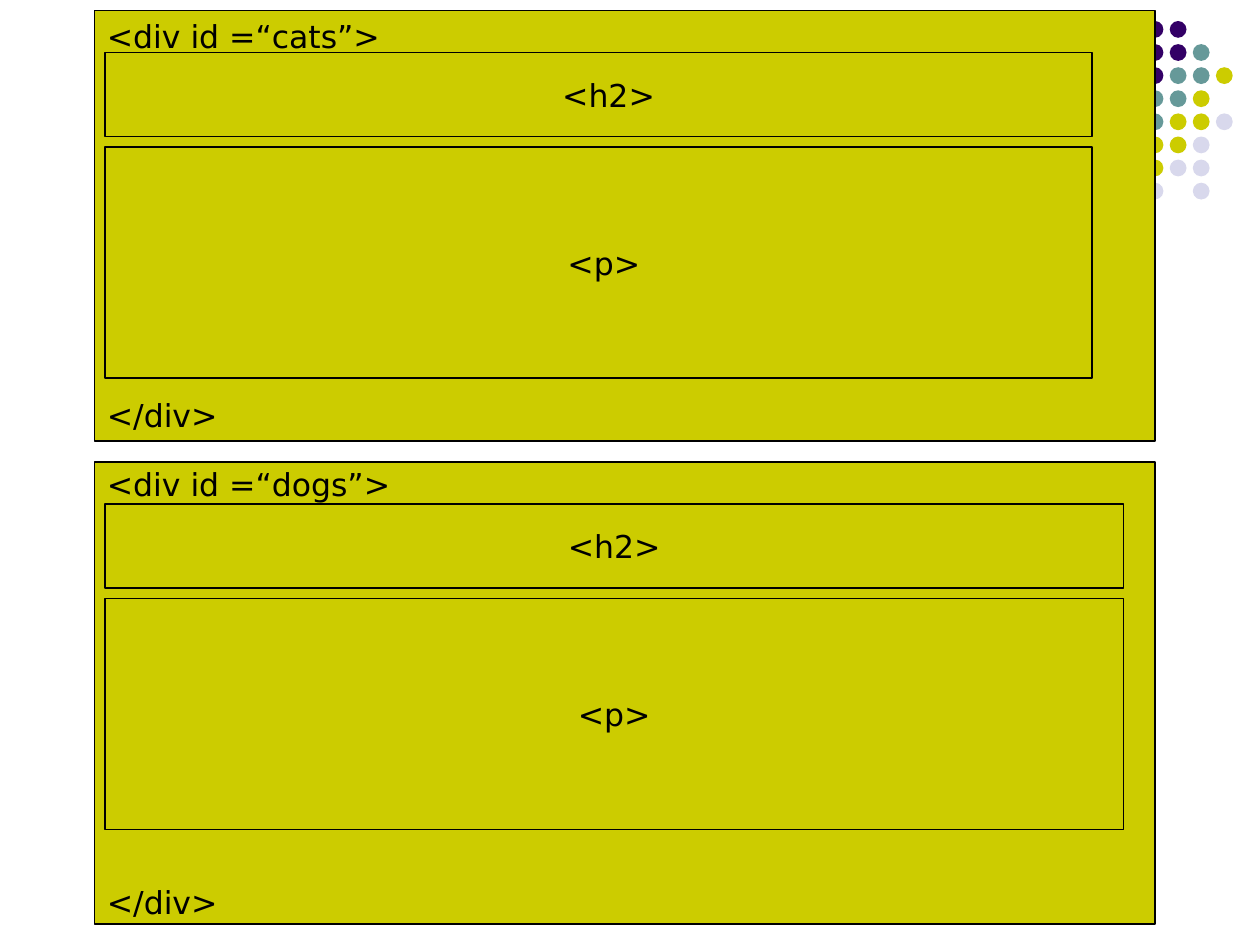
from dataclasses import dataclass

import pptx
import pptx.dml.color
import pptx.enum.shapes
import pptx.enum.text
import pptx.util

PX = 7620  # EMU per px, 120 px to the inch
SHAPE = pptx.enum.shapes.MSO_SHAPE
ALIGN = pptx.enum.text.PP_ALIGN


@dataclass(frozen=True)
class Theme:
    box: str = "CCCC00"
    ink: str = "000000"
    font: str = "DejaVu Sans"
    text_pt: int = 18
    line_pt: float = 0.75
    inset_x: int = 12
    inset_y: int = 6


@dataclass(frozen=True)
class Division:
    name: str
    top: int
    height: int
    inner_width: int
    tag_gap_pt: int  # space between the opening and closing tags
    heading_indent: int
    paragraph_indent: int


THEME = Theme()
DIVISIONS = (
    Division("cats", 10, 410, 940, 195, 19, 10),
    Division("dogs", 440, 440, 970, 217, 0, 0),
)
DOT_COLOURS = {"P": "330066", "T": "669999", "Y": "CCCC00", "L": "D8D8EC"}
DOT_ROWS = ("PP", "PPT", "PTTY", "TTY", "TYYL", "YYL", "YLL", "L L")
DOT_LEFT, DOT_TOP, DOT_STEP, DOT_SIZE = 1092, 20, 22, 16


def rgb(colour: str) -> pptx.dml.color.RGBColor:
    return pptx.dml.color.RGBColor.from_string(colour)


def apply(target, formats: dict) -> None:
    for attribute, value in formats.items():
        setattr(target, attribute, value)


def add_filled(slide, kind, left: int, top: int, width: int, height: int, colour: str):
    shape = slide.shapes.add_shape(kind, left * PX, top * PX, width * PX, height * PX)
    shape.shadow.inherit = False
    shape.fill.solid()
    shape.fill.fore_color.rgb = rgb(colour)
    shape.line.fill.background()
    return shape


def add_box(slide, left: int, top: int, width: int, height: int, lines: tuple[str, ...],
            align=ALIGN.CENTER, indent: int = 0, gap_pt: int = 0) -> None:
    box = add_filled(slide, SHAPE.RECTANGLE, left, top, width, height, THEME.box)
    box.line.fill.solid()
    box.line.fill.fore_color.rgb = rgb(THEME.ink)
    box.line.width = pptx.util.Pt(THEME.line_pt)
    apply(box.text_frame, {
        "word_wrap": True,
        "vertical_anchor": pptx.enum.text.MSO_ANCHOR.MIDDLE,
        "margin_left": (THEME.inset_x + indent) * PX,
        "margin_right": THEME.inset_x * PX,
        "margin_top": THEME.inset_y * PX,
        "margin_bottom": THEME.inset_y * PX,
    })
    for index, line in enumerate(lines):
        paragraph = box.text_frame.add_paragraph() if index else box.text_frame.paragraphs[0]
        spacing = pptx.util.Pt(gap_pt if index else 0)
        apply(paragraph, {"alignment": align, "space_before": spacing})
        run = paragraph.add_run()
        run.text = line
        apply(run.font, {"name": THEME.font, "size": pptx.util.Pt(THEME.text_pt)})
        run.font.color.rgb = rgb(THEME.ink)


def draw_dots(slide) -> None:
    for row, codes in enumerate(DOT_ROWS):
        for column, code in enumerate(codes):
            if code in DOT_COLOURS:
                add_filled(slide, SHAPE.OVAL, DOT_LEFT + column * DOT_STEP,
                           DOT_TOP + row * DOT_STEP, DOT_SIZE, DOT_SIZE, DOT_COLOURS[code])


def draw_division(slide, division: Division) -> None:
    tags = (f"<div id =“{division.name}”>", "</div>")
    add_box(slide, 90, division.top, 1010, division.height, tags,
            align=ALIGN.LEFT, gap_pt=division.tag_gap_pt)
    add_box(slide, 100, division.top + 40, division.inner_width, 80, ("<h2>",),
            indent=division.heading_indent)
    add_box(slide, 100, division.top + 130, division.inner_width, 220, ("<p>",),
            indent=division.paragraph_indent)


def main() -> None:
    deck = pptx.Presentation()
    apply(deck, {"slide_width": 1200 * PX, "slide_height": 900 * PX})
    slide = deck.slides.add_slide(deck.slide_layouts[6])  # blank: there is no title

    # Corner dots, partly behind the first division
    draw_dots(slide)

    # Nested page divisions
    for division in DIVISIONS:
        draw_division(slide, division)

    deck.save("out.pptx")


if __name__ == "__main__":
    main()
